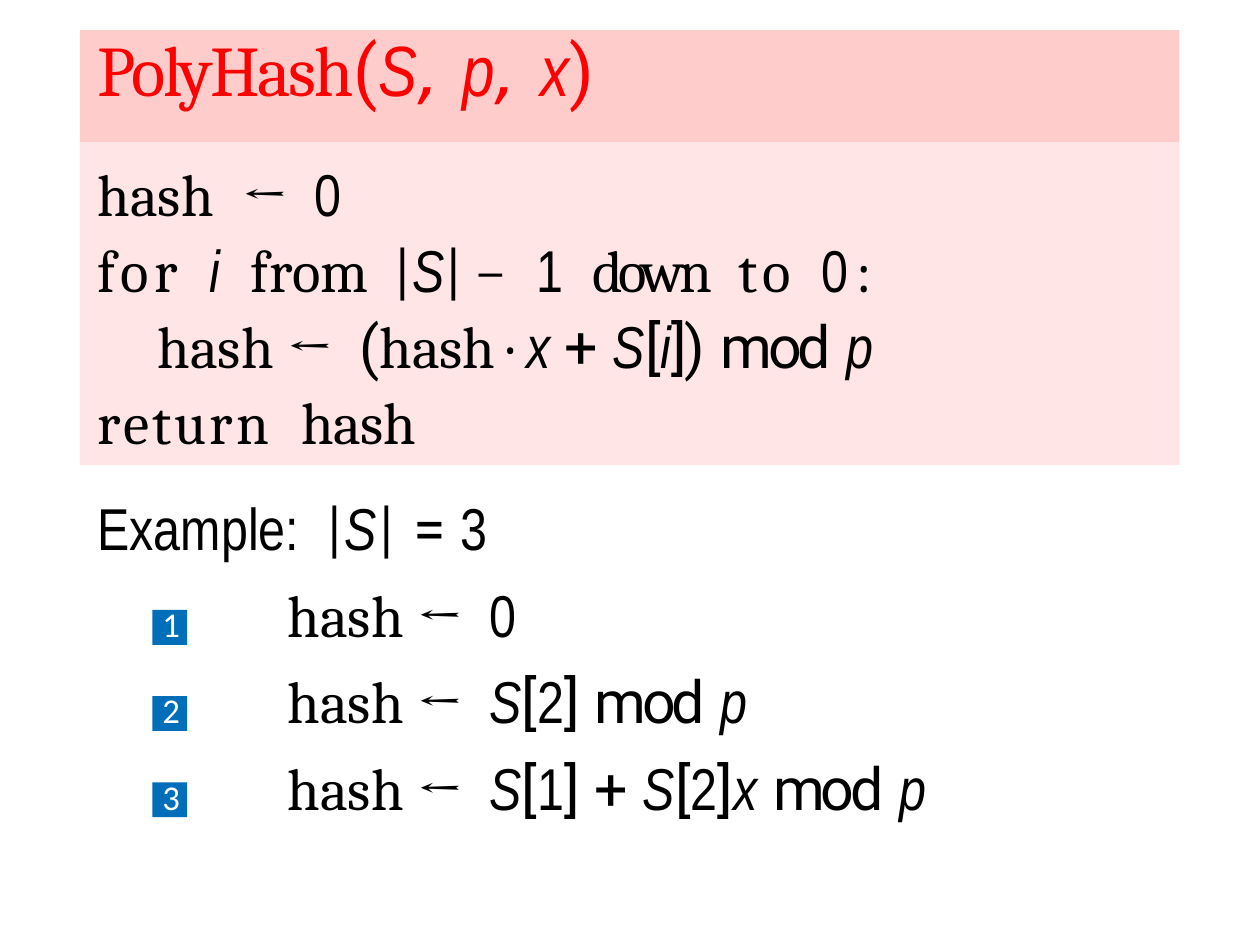
from lxml import etree
from pptx import Presentation
from pptx import util as u
from pptx.dml.color import RGBColor
from pptx.enum import shapes, text
from pptx.oxml.ns import qn

W_PT, H_PT = 363, 272.5
RED = RGBColor(0xFF, 0x00, 0x00)
BLACK = RGBColor(0x00, 0x00, 0x00)
WHITE = RGBColor(0xFF, 0xFF, 0xFF)
BLUE = RGBColor(0x00, 0x6E, 0xB8)
PINK = RGBColor(0xFF, 0xCC, 0xCC)
PALE_PINK = RGBColor(0xFF, 0xE5, 0xE5)

CODE = ("Cambria", False)
VAR = ("Arial Narrow", True)
NUM = ("Arial Narrow", False)
OP = ("Roboto", False)
COMMA = ("DejaVu Sans", True)
LABEL = ("Calibri", False)

BAND_LEFT, BAND_WIDTH = 0.32, 4.4
STEP_TOP, STEP_PITCH, STEP_SIZE = 2.44, 0.345, 0.14

ARROW = [("← ", CODE, 2.8, 0.8)]
ASSIGN = [("hash ", CODE, 0, 0.2)] + ARROW
MOD_P = [("mod ", OP, -1.2, 0.2), ("p", VAR, 0)]
TITLE = [("PolyHash", CODE, -0.7), ("(", OP, -0.7), ("S", VAR, -0.7), (", ", COMMA, -0.7, -0.2),
         ("p", VAR, -0.8), (", ", COMMA, -0.8, 0.2), ("x", VAR, -0.2), (")", OP, -0.2)]
ZERO = [("0", NUM, -0.5)]
INIT = [("hash ", CODE, 0, 4.6)] + ARROW + ZERO
LOOP = [("for ", CODE, 1.6, 3.6), ("i ", VAR, 0.7, 4.4), ("from ", CODE, 0, 3.5),
        ("|", CODE, -0.4), ("S", VAR, -0.4), ("| ", CODE, -0.4), ("− ", CODE, 4, 0.5),
        ("1 ", NUM, 0, 4.6), ("down ", CODE, -1.4, 3.8), ("to ", CODE, 1.4, 3.7),
        ("0", NUM, 2.2), (": ", CODE, 2.2)]
UPDATE = ASSIGN + [("(", OP, -0.1), ("hash ", CODE, -0.1), ("· ", CODE, 0), ("x ", VAR, 0),
                   ("+ ", OP, 0), ("S", VAR, -0.8), ("[", OP, -0.8), ("i", VAR, -0.8),
                   ("]) ", OP, -0.8, 0.2)] + MOD_P
RETURN = [("return ", CODE, 0.9, 4.6), ("hash", CODE, -0.2)]
EXAMPLE = [("Example: ", NUM, 0, 3.7), ("|", CODE, 0), ("S", VAR, 0), ("| ", CODE, 0, 1.4),
           ("= ", OP, 0), ("3", NUM, -0.5)]


def item(digit):
    """Return the runs of S[digit] at the start of a step."""
    return [("S", VAR, -1.1), ("[", OP, -1.1), (digit, NUM, -1.1), ("] ", OP, -1.1, -0.4)]


STEPS = [ASSIGN + ZERO,
         ASSIGN + item("2") + MOD_P,
         ASSIGN + item("1") + [("+ ", OP, 0), ("S", VAR, -0.4), ("[", OP, -0.4),
                               ("2", NUM, -0.4), ("]", OP, -0.4), ("x ", VAR, -0.4, 0.5)] + MOD_P]


def add_band(s, left, top, width, height, color):
    """Add a plain filled rectangle."""
    sp = s.shapes.add_shape(shapes.MSO_SHAPE.RECTANGLE, *map(u.Inches, (left, top, width, height)))
    sp.shadow.inherit = False
    sp.fill.solid()
    sp.fill.fore_color.rgb = color
    sp.line.fill.background()


def place(sp, left, top, width, height, inset):
    """Move a placeholder to the front and return its text frame."""
    sp.left, sp.top, sp.width, sp.height = map(u.Inches, (left, top, width, height))
    sp.element.getparent().append(sp.element)
    tf = sp.text_frame
    tf.word_wrap = True
    tf.auto_size = text.MSO_AUTO_SIZE.SHAPE_TO_FIT_TEXT
    tf.vertical_anchor = text.MSO_ANCHOR.TOP
    tf.margin_left = tf.margin_right = tf.margin_bottom = 0
    tf.margin_top = u.Inches(inset)
    return tf


def add_run(p, words, style, spacing, size, color):
    """Append one formatted run to a paragraph."""
    r = p.add_run()
    r.text = words
    r.font.name, r.font.italic = style
    r.font.size, r.font.color.rgb = u.Pt(size), color
    r._r.get_or_add_rPr().set("spc", str(round(spacing * 100)))


def add_runs(p, runs, size, color):
    """Append runs of (text, style, letter spacing, optional spacing of the last space)."""
    for words, style, spacing, *gap in runs:
        if gap:
            add_run(p, words[:-1], style, spacing, size, color)
            add_run(p, words[-1], style, gap[0], size, color)
        else:
            add_run(p, words, style, spacing, size, color)


def format_paragraph(p, margin, before, indent=0, spacing=1.0, tab=None):
    """Set the indents, spacing and tab stop of an unbulleted paragraph."""
    p.alignment = text.PP_ALIGN.LEFT
    p.space_before, p.space_after, p.line_spacing = u.Pt(before), u.Pt(0), spacing
    pPr = p._p.get_or_add_pPr()
    pPr.set("marL", str(u.Inches(margin)))
    pPr.set("indent", str(u.Inches(indent)))
    etree.SubElement(pPr, qn("a:buNone"))
    if tab:
        tabs = etree.SubElement(pPr, qn("a:tabLst"))
        etree.SubElement(tabs, qn("a:tab"), pos=str(u.Inches(tab)), algn="l")


def add_code(tf, runs, margin, before, **layout):
    """Add a paragraph of pseudocode."""
    p = tf.paragraphs[0] if not tf.paragraphs[0].runs else tf.add_paragraph()
    format_paragraph(p, margin, before, **layout)
    add_runs(p, runs, 17, BLACK)


def add_step(tf, number, runs):
    """Add a numbered step of the example."""
    p = tf.add_paragraph()
    format_paragraph(p, 0.27, 4.5, tab=0.49)
    add_runs(p, [(f"{number}\t", LABEL, -0.5)], 10, WHITE)
    add_runs(p, runs, 17, BLACK)


def main():
    """Build the slide and save it."""
    prs = Presentation()
    prs.slide_width, prs.slide_height = u.Pt(W_PT), u.Pt(H_PT)
    s = prs.slides.add_slide(prs.slide_layouts[1])

    add_band(s, BAND_LEFT, 0.12, BAND_WIDTH, 0.45, PINK)
    add_band(s, BAND_LEFT, 0.57, BAND_WIDTH, 1.29, PALE_PINK)
    for i in range(len(STEPS)):
        add_band(s, 0.61, STEP_TOP + i * STEP_PITCH, STEP_SIZE, STEP_SIZE, BLUE)

    tf = place(s.shapes.title, 0.22, 0.08, 4.6, 0.44, 0.02)
    format_paragraph(tf.paragraphs[0], 0.17, 1.1)
    add_runs(tf.paragraphs[0], TITLE, 20.5, RED)

    tf = place(s.placeholders[1], 0.38, 0.6, 3.33, 2.71, 0.03)
    add_code(tf, INIT, 0.01, 2.5)
    add_code(tf, LOOP + UPDATE, 0.25, 0, indent=-0.24, spacing=1.07)
    add_code(tf, RETURN, 0.01, 1.6)
    add_code(tf, EXAMPLE, 0.01, 10.2)
    for number, runs in enumerate(STEPS, 1):
        add_step(tf, number, runs)

    prs.save("out.pptx")


main()
